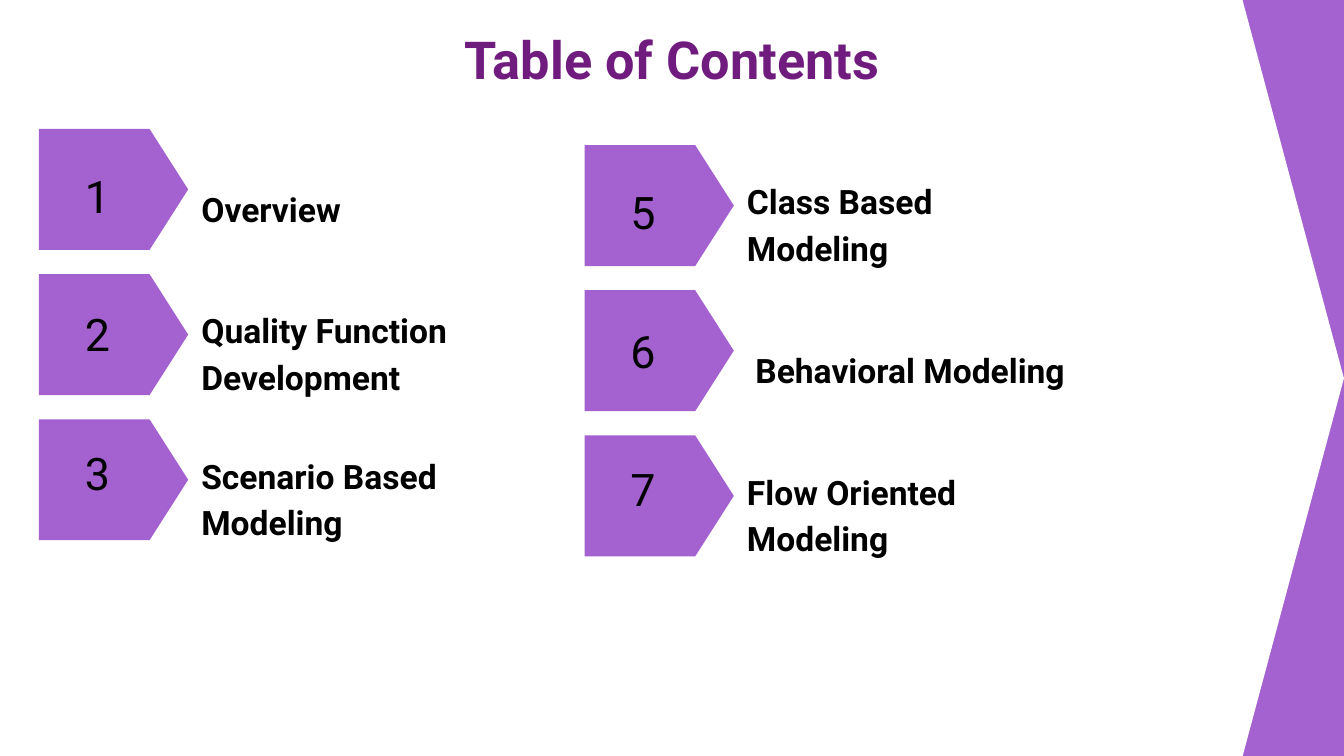
from dataclasses import dataclass

from pptx import Presentation
from pptx.dml.color import RGBColor
from pptx.enum.shapes import MSO_SHAPE
from pptx.enum.text import MSO_ANCHOR, PP_ALIGN
from pptx.util import Inches, Pt


@dataclass(frozen=True)
class Theme:
    font: str = "Roboto"
    accent: RGBColor = RGBColor(0xA4, 0x61, 0xD0)
    heading: RGBColor = RGBColor(0x70, 0x1C, 0x7F)
    ink: RGBColor = RGBColor(0, 0, 0)
    paper: RGBColor = RGBColor(0xFF, 0xFF, 0xFF)
    title_size: int = 28
    number_size: int = 24
    label_size: int = 18


class ContentsSlide:
    """Draws the elements of a contents slide in one theme."""

    def __init__(self, prs, theme):
        self.theme = theme
        self.s = prs.slides.add_slide(prs.slide_layouts[6])
        fill = self.s.background.fill
        fill.solid()
        fill.fore_color.rgb = theme.accent

    def pentagon(self, x, y, w, h, color, point):
        sp = self.s.shapes.add_shape(
            MSO_SHAPE.PENTAGON, Inches(x), Inches(y), Inches(w), Inches(h))
        sp.adjustments[0] = point
        sp.shadow.inherit = False
        sp.fill.solid()
        sp.fill.fore_color.rgb = color
        sp.line.fill.background()

    def text(self, x, y, w, h, text, size, color, bold=False,
             align=PP_ALIGN.CENTER, anchor=MSO_ANCHOR.MIDDLE):
        sp = self.s.shapes.add_textbox(Inches(x), Inches(y), Inches(w), Inches(h))
        tf = sp.text_frame
        tf.word_wrap = True
        tf.vertical_anchor = anchor
        tf.margin_left = tf.margin_right = Inches(0.1)
        tf.margin_top = tf.margin_bottom = Inches(0.1)
        tf.text = text
        p = tf.paragraphs[0]
        p.alignment = align
        font = p.runs[0].font
        font.name = self.theme.font
        font.size = Pt(size)
        font.bold = bold
        font.color.rgb = color
        return p

    def title(self, text):
        self.text(0.78, 0.1, 8.44, 0.63, text, self.theme.title_size,
                  self.theme.heading, bold=True, anchor=MSO_ANCHOR.TOP)

    def entry(self, x, y, number_y, number, label):
        t = self.theme
        self.pentagon(x, y, 1.11, 0.9, t.accent, 0.319)
        p = self.text(x + 1.11, y + 0.37, 2.6, 0.4, label, t.label_size, t.ink,
                      bold=True, align=PP_ALIGN.LEFT)
        p.line_spacing = 1.15
        p.space_after = Pt(16)
        self.text(x + 0.12, number_y, 0.63, 0.63, str(number), t.number_size, t.ink)


def main():
    prs = Presentation()
    prs.slide_width, prs.slide_height = Inches(10), Inches(5.625)
    theme = Theme()
    slide = ContentsSlide(prs, theme)
    slide.pentagon(0, 0, 10, 5.63, theme.paper, 0.134)
    slide.title("Table of Contents")

    columns = [
        (0.29, 0.96, 1, ["Overview", "Quality Function Development",
                         "Scenario Based Modeling"]),
        (4.35, 1.08, 5, ["Class Based Modeling", " Behavioral Modeling",
                         "Flow Oriented Modeling"]),
    ]
    for x, top, first, labels in columns:
        for row, label in enumerate(labels):
            slide.entry(x, top + row * 1.08, top + 0.18 + row * 1.03,
                        first + row, label)

    prs.save("out.pptx")


if __name__ == "__main__":
    main()
